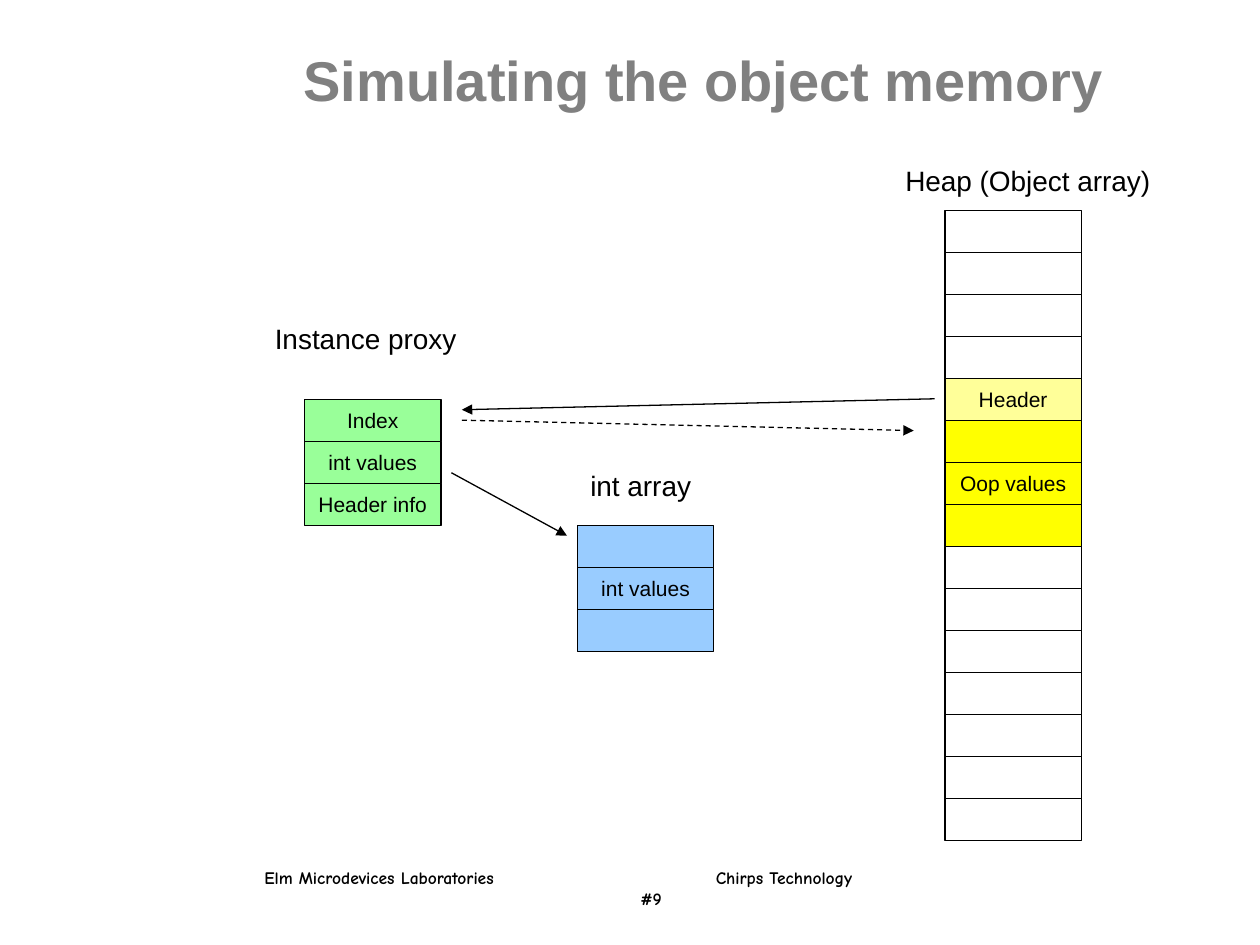
"""Build a slide on simulating the object memory."""

from dataclasses import dataclass

from lxml import etree
from pptx import Presentation
from pptx.dml.color import RGBColor
from pptx.enum.dml import MSO_LINE
from pptx.enum.shapes import MSO_CONNECTOR, MSO_SHAPE
from pptx.enum.text import MSO_ANCHOR, PP_ALIGN
from pptx.oxml.ns import qn
from pptx.slide import Slide
from pptx.text.text import TextFrame
from pptx.util import Cm, Pt

RECTANGLE = MSO_SHAPE.RECTANGLE
STRAIGHT = MSO_CONNECTOR.STRAIGHT
DASH = MSO_LINE.DASH
LEFT, CENTER, JUSTIFY = PP_ALIGN.LEFT, PP_ALIGN.CENTER, PP_ALIGN.JUSTIFY
TOP, MIDDLE = MSO_ANCHOR.TOP, MSO_ANCHOR.MIDDLE

COLORS = {
    "black": "000000",
    "white": "FFFFFF",
    "gray": "808080",
    "green": "99FF99",
    "blue": "99CCFF",
    "cream": "FFFF99",
    "yellow": "FFFF00",
}
CELL_WIDTH = 2.75
CELL_HEIGHT = 2.54 / 3
LABEL_HEIGHT = 0.94
LINE_WIDTH = 0.75


@dataclass
class Cell:
    color: str
    text: str = ""


@dataclass
class Stack:
    left: float
    top: float
    cells: list[Cell]


@dataclass
class Label:
    text: str
    left: float
    top: float
    width: float


@dataclass
class Arrow:
    start: tuple[float, float]
    end: tuple[float, float]
    dashed: bool = False


STACKS = [
    Stack(19.05, 4.24, [
        *[Cell("white")] * 4,
        Cell("cream", "Header"),
        Cell("yellow"),
        Cell("yellow", "Oop values"),
        Cell("yellow"),
        *[Cell("white")] * 7,
    ]),
    Stack(6.14, 8.05, [
        Cell("green", "Index"),
        Cell("green", "int values"),
        Cell("green", "Header info"),
    ]),
    Stack(11.64, 10.59, [Cell("blue"), Cell("blue", "int values"), Cell("blue")]),
]
LABELS = [
    Label("Heap (Object array)", 18.0, 3.18, 5.8),
    Label("Instance proxy", 5.29, 6.35, 4.45),
    Label("int array", 11.65, 9.32, 2.8),
]
ARROWS = [
    Arrow((18.84, 8.04), (9.31, 8.26)),
    Arrow((9.31, 8.47), (18.42, 8.68), dashed=True),
    Arrow((9.1, 9.53), (11.43, 10.8)),
]


def color_of(name: str) -> RGBColor:
    """Return the named color."""
    return RGBColor.from_string(COLORS[name])


def write(frame: TextFrame, text: str, *, size: float, font: str = "Arial",
          color: str = "black", bold: bool = False, align: PP_ALIGN = LEFT,
          anchor: MSO_ANCHOR = TOP, wrap: bool = True) -> None:
    """Fill a text frame, one paragraph per line, in one format."""
    frame.word_wrap = wrap
    frame.vertical_anchor = anchor
    for index, line in enumerate(text.split("\n")):
        para = frame.add_paragraph() if index else frame.paragraphs[0]
        para.alignment = align
        span = para.add_run()
        span.text = line
        span.font.size = Pt(size)
        span.font.name = font
        span.font.bold = bold
        span.font.color.rgb = color_of(color)


def draw_stack(page: Slide, stack: Stack) -> None:
    """Draw a column of memory cells."""
    for row, cell in enumerate(stack.cells):
        top = stack.top + row * CELL_HEIGHT
        box = page.shapes.add_shape(RECTANGLE, Cm(stack.left), Cm(top),
                                    Cm(CELL_WIDTH), Cm(CELL_HEIGHT))
        box.shadow.inherit = False
        box.fill.solid()
        box.fill.fore_color.rgb = color_of(cell.color)
        box.line.color.rgb = color_of("black")
        box.line.width = Pt(LINE_WIDTH)
        if cell.text:
            write(box.text_frame, cell.text, size=12, align=CENTER,
                  anchor=MIDDLE, wrap=False)


def draw_label(page: Slide, label: Label) -> None:
    """Write the caption of a stack."""
    box = page.shapes.add_textbox(Cm(label.left), Cm(label.top),
                                  Cm(label.width), Cm(LABEL_HEIGHT))
    write(box.text_frame, label.text, size=16)


def draw_arrow(page: Slide, arrow: Arrow) -> None:
    """Draw a line with a triangle at its end."""
    line = page.shapes.add_connector(STRAIGHT, *map(Cm, arrow.start + arrow.end))
    line.line.color.rgb = color_of("black")
    line.line.width = Pt(LINE_WIDTH)
    if arrow.dashed:
        line.line.dash_style = DASH
    outline = line.line._get_or_add_ln()
    etree.SubElement(outline, qn("a:tailEnd"), type="triangle")
    etree.SubElement(line._element.spPr, qn("a:effectLst"))


def draw_footer(page: Slide) -> None:
    """Write the footer, set out with one tab stop per line."""
    box = page.shapes.add_textbox(Cm(5.08), Cm(17.35), Cm(15.98), Cm(1.12))
    write(box.text_frame, "Elm Microdevices Laboratories\tChirps Technology\n\t#9",
          size=10, font="Comic Neue", bold=True, align=JUSTIFY)
    for para, position in zip(box.text_frame.paragraphs, (9.1, 7.58)):
        tabs = etree.SubElement(para._p.get_or_add_pPr(), qn("a:tabLst"))
        etree.SubElement(tabs, qn("a:tab"), pos=str(Cm(position)), algn="l")


def main() -> None:
    """Build and save the deck."""
    deck = Presentation()
    deck.slide_width, deck.slide_height = Cm(25.4), Cm(19.05)
    page = deck.slides.add_slide(deck.slide_layouts[5])
    title = page.shapes.title
    title.left, title.top, title.width, title.height = map(
        Cm, (4.45, 0.43, 19.48, 2.34))
    write(title.text_frame, "Simulating the object memory", size=32,
          color="gray", bold=True, align=CENTER, anchor=MIDDLE)
    draw_footer(page)
    for stack in STACKS:
        draw_stack(page, stack)
    for arrow in ARROWS:
        draw_arrow(page, arrow)
    for label in LABELS:
        draw_label(page, label)
    deck.save("out.pptx")


if __name__ == "__main__":
    main()
